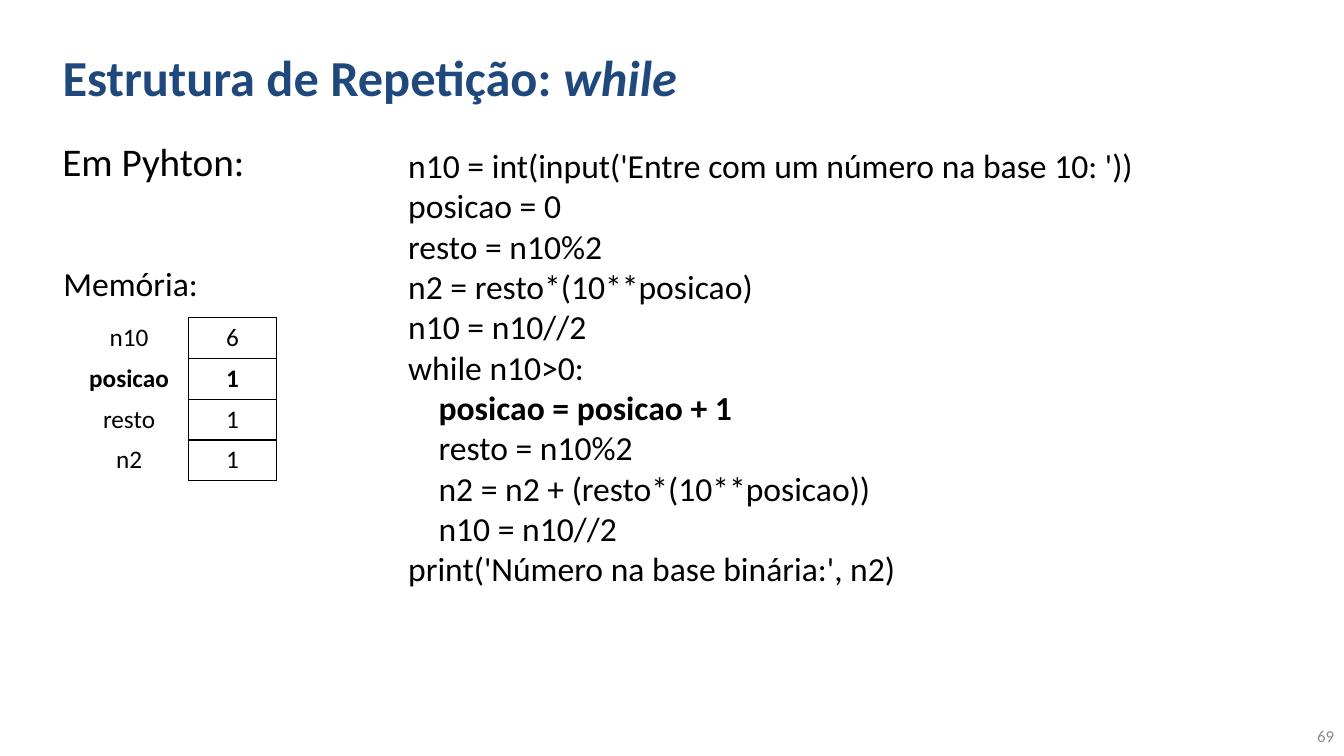
from dataclasses import dataclass

from lxml.etree import SubElement
from pptx import Presentation
from pptx.dml.color import RGBColor
from pptx.enum.text import MSO_ANCHOR, PP_ALIGN
from pptx.oxml.ns import qn
from pptx.util import Inches, Pt


@dataclass(frozen=True)
class Theme:
    font: str = "Calibri"
    title_color: str = "1F497D"
    text_color: str = "000000"
    number_color: str = "8C8C8C"
    title_size: int = 36
    heading_size: int = 28
    code_size: int = 24
    table_size: int = 18
    number_size: int = 12
    border_width: float = 1


THEME = Theme()

CODE = """n10 = int(input('Entre com um número na base 10: '))
posicao = 0
resto = n10%2
n2 = resto*(10**posicao)
n10 = n10//2
while n10>0:
    posicao = posicao + 1
    resto = n10%2
    n2 = n2 + (resto*(10**posicao))
    n10 = n10//2
print('Número na base binária:', n2)"""
CURRENT_LINE = "    posicao = posicao + 1"

MEMORY = [("n10", "6"), ("posicao", "1"), ("resto", "1"), ("n2", "1")]
CURRENT_VARIABLE = "posicao"


def style(para, size, color=THEME.text_color, bold=False, align=PP_ALIGN.LEFT):
    para.alignment = align
    para.font.name = THEME.font
    para.font.size = Pt(size)
    para.font.bold = bold
    para.font.color.rgb = RGBColor.from_string(color)


def add_title(page, box, text, emphasis):
    title = page.shapes.title
    title.left, title.top, title.width, title.height = map(Inches, box)
    title.text_frame.vertical_anchor = MSO_ANCHOR.MIDDLE
    para = title.text_frame.paragraphs[0]
    para.add_run().text = text
    span = para.add_run()
    span.text = emphasis
    span.font.italic = True
    style(para, THEME.title_size, THEME.title_color, bold=True)


def add_text(page, box, text, size, wrap=True, anchor=MSO_ANCHOR.TOP, **looks):
    """Add a text box with one paragraph for each line of text."""
    frame = page.shapes.add_textbox(*map(Inches, box)).text_frame
    frame.word_wrap = wrap
    frame.vertical_anchor = anchor
    frame.text = text
    for para in frame.paragraphs:
        style(para, size, **looks)
    return frame


def add_code(page, box):
    frame = add_text(page, box, CODE, THEME.code_size, wrap=False)
    for para in frame.paragraphs:
        para.font.bold = para.text == CURRENT_LINE


def add_border(cell, sides):
    properties = cell._tc.get_or_add_tcPr()
    for side in sides:
        line = SubElement(properties, qn(f"a:ln{side}"), w=str(Pt(THEME.border_width)))
        fill = SubElement(line, qn("a:solidFill"))
        SubElement(fill, qn("a:srgbClr"), val=THEME.text_color)


def add_memory(page, box):
    """Add a table of variables, with borders around the values only."""
    table = page.shapes.add_table(len(MEMORY), 2, *map(Inches, box)).table
    table.first_row = table.horz_banding = False
    value_width = 0.87
    table.columns[0].width = Inches(box[2] - value_width)
    table.columns[1].width = Inches(value_width)
    for row, entry in enumerate(MEMORY):
        for column, (text, sides) in enumerate(zip(entry, ("R", "LRTB"))):
            cell = table.cell(row, column)
            add_border(cell, sides)
            cell.fill.background()
            cell.text = text
            style(cell.text_frame.paragraphs[0], THEME.table_size,
                  bold=entry[0] == CURRENT_VARIABLE, align=PP_ALIGN.CENTER)


def main():
    deck = Presentation()
    deck.slide_width, deck.slide_height = Inches(13.33), Inches(7.5)
    page = deck.slides.add_slide(deck.slide_layouts[5])
    add_title(page, (0.52, 0.13, 10.58, 1.25), "Estrutura de Repetição: ", "while")
    add_text(page, (0.52, 1.31, 2.92, 1.23), "Em Pyhton:", THEME.heading_size)
    add_text(page, (11, 7.1, 2.33, 0.4), "69", THEME.number_size,
             anchor=MSO_ANCHOR.MIDDLE, color=THEME.number_color, align=PP_ALIGN.RIGHT)
    add_code(page, (3.95, 1.39, 7.59, 4.54))
    add_text(page, (0.53, 2.56, 1.55, 0.5), "Memória:", THEME.code_size, wrap=False)
    add_memory(page, (0.69, 3.15, 2.05, 1.62))
    deck.save("out.pptx")


if __name__ == "__main__":
    main()
